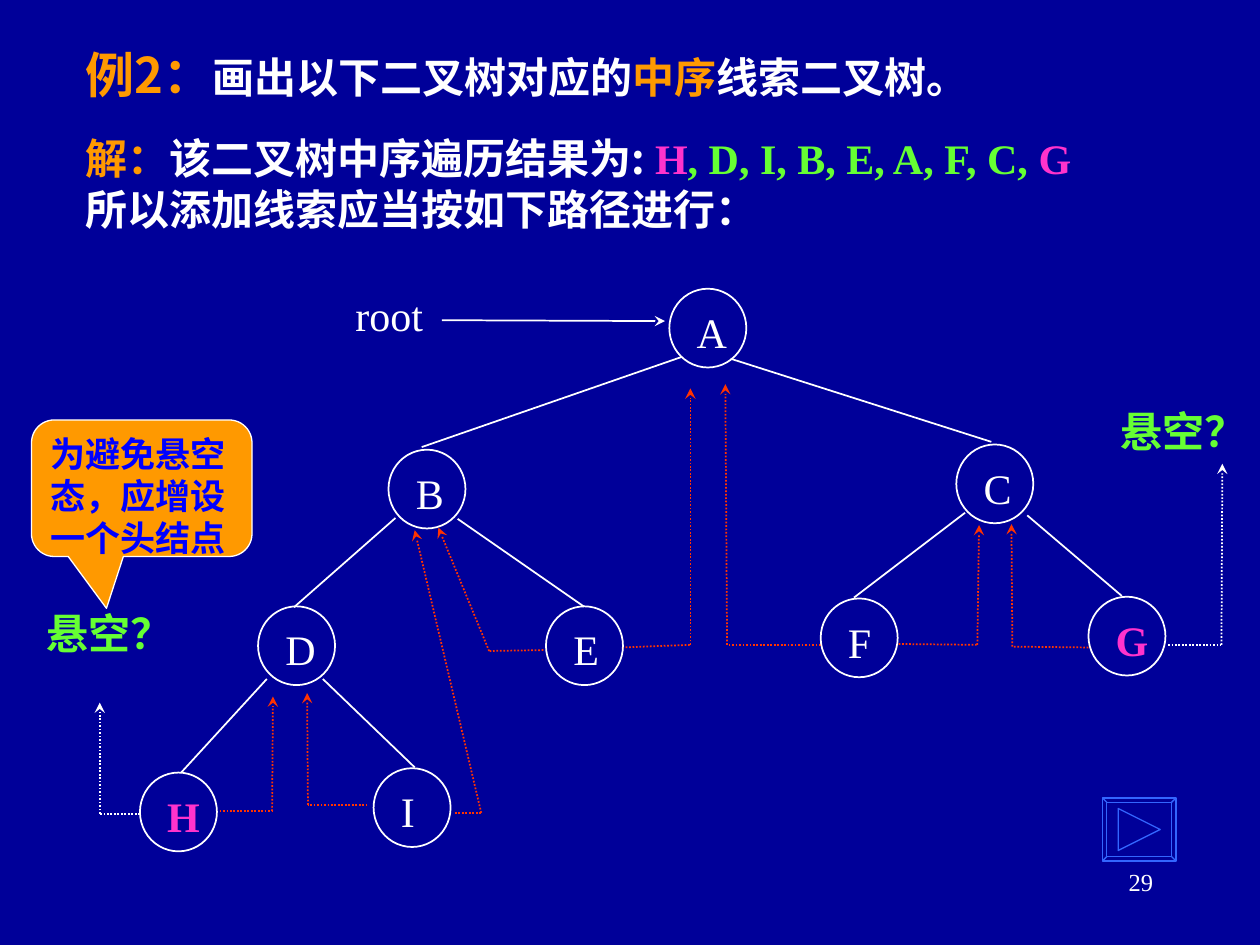
from lxml.etree import SubElement
from pptx import Presentation
from pptx.dml.color import RGBColor
from pptx.enum.dml import MSO_LINE
from pptx.enum.shapes import MSO_CONNECTOR, MSO_SHAPE
from pptx.enum.text import MSO_ANCHOR, PP_ALIGN
from pptx.oxml.ns import qn
from pptx.util import Pt

NAVY = RGBColor(0x00, 0x00, 0x99)
WHITE = RGBColor(0xFF, 0xFF, 0xFF)
ORANGE = RGBColor(0xFF, 0x99, 0x00)
RED = RGBColor(0xFF, 0x33, 0x00)
PINK = RGBColor(0xFF, 0x33, 0xCC)
GREEN = RGBColor(0x66, 0xFF, 0x33)
BLUE = RGBColor(0x00, 0x00, 0xFF)
BUTTON_BLUE = RGBColor(0x33, 0x66, 0xFF)
SERIF = "Times New Roman"
SANS = "Noto Sans CJK SC"

deck = Presentation()
deck.slide_width, deck.slide_height = Pt(720), Pt(540)
page = deck.slides.add_slide(deck.slide_layouts[6])
page.background.fill.solid()
page.background.fill.fore_color.rgb = NAVY


def write(shape, lines, size=24, bold=False, spacing=None):
    frame = shape.text_frame
    frame.word_wrap = True
    for number, spans in enumerate(lines):
        para = frame.add_paragraph() if number else frame.paragraphs[0]
        para.alignment = PP_ALIGN.LEFT
        if spacing:
            para.line_spacing = Pt(spacing)
        para.font.size, para.font.bold = Pt(size), bold
        for text, face, color in spans:
            span = para.add_run()
            span.text = text
            font = para.font if len(spans) == 1 else span.font
            font.size, font.bold = Pt(size), bold
            font.name, font.color.rgb = face, color
            if not text.isascii():
                SubElement(span._r.get_or_add_rPr(), qn("a:ea"), typeface=SANS)
    return frame


def connect(start, end, color=WHITE, dotted=False, arrow=False):
    line = page.shapes.add_connector(MSO_CONNECTOR.STRAIGHT, *map(Pt, start + end))
    line.line.color.rgb, line.line.width = color, Pt(1)
    if dotted:
        line.line.dash_style = MSO_LINE.ROUND_DOT
    if arrow:
        SubElement(line.line._get_or_add_ln(), qn("a:tailEnd"), type="stealth")
    SubElement(line._element.spPr, qn("a:effectLst"))


threads = [
    ((260, 464.5), (275, 464.5), (237, 303), RED),
    ((310.5, 371.5), (279.5, 372), (250.5, 301.5), RED),
    ((210, 460), (176, 460), (175.5, 396), RED),
    ((125.5, 463.5), (155.5, 463.5), (156, 398), RED),
    ((469, 368.5), (415.5, 368.5), (414.5, 219.5), RED),
    ((622, 370), (578.5, 369.5), (578, 299.5), RED),
    ((80, 465), (57, 465), (57, 401.5), WHITE),
    ((355.5, 370), (394.5, 368.5), (394.5, 222), RED),
    ((513.5, 368), (558.5, 368.5), (559.5, 300), RED),
    ((667.5, 368.5), (698, 368.5), (698.5, 265), WHITE),
]
for start, corner, tip, color in threads:
    connect(start, corner, color, dotted=True)
    connect(corner, tip, color, dotted=True, arrow=True)

nodes = {
    "A": (382.5, 165), "B": (222, 257), "C": (546.5, 254),
    "D": (147.5, 346.5), "E": (312, 346.5), "F": (469, 342),
    "G": (622, 341), "H": (80, 441.5), "I": (213.5, 439),
}
for name, (left, top) in nodes.items():
    circle = page.shapes.add_shape(MSO_SHAPE.OVAL, Pt(left), Pt(top), Pt(44), Pt(45))
    circle.shadow.inherit = False
    circle.fill.background()
    circle.line.color.rgb, circle.line.width = WHITE, Pt(1)
    label = page.shapes.add_textbox(Pt(left + 8.5), Pt(top + 6.5), Pt(36), Pt(36))
    is_end = name in "HG"
    write(label, [[(name, SERIF, PINK if is_end else WHITE)]], bold=is_end)

branches = [
    ((389.5, 204), (241, 255.5)), ((417.5, 205), (566.5, 252.5)),
    ((226, 296), (168, 347)), ((261.5, 296.5), (333.5, 346.5)),
    ((551.5, 293), (488, 341.5)), ((587, 294.5), (641, 340.5)),
    ((152.5, 388), (103.5, 441.5)), ((184.5, 388), (237, 438.5)),
]
for parent, child in branches:
    connect(parent, child)

root = page.shapes.add_textbox(Pt(196), Pt(162), Pt(56), Pt(36))
write(root, [[("root", SERIF, WHITE)]])
connect((252.5, 183), (380, 183.5), arrow=True)

for left, top, width in [(19.5, 343.5, 83), (633.5, 228, 86.5)]:
    dangling = page.shapes.add_textbox(Pt(left), Pt(top), Pt(width), Pt(36))
    write(dangling, [[("悬空？", SERIF, GREEN)]], bold=True, spacing=29)

solution = page.shapes.add_textbox(Pt(42), Pt(72), Pt(636), Pt(65))
write(solution, [
    [("解：", SANS, ORANGE), ("该二叉树中序遍历结果为: ", SANS, WHITE),
     ("H", SERIF, PINK), (", D, I, B, E, A, F, C,", SERIF, GREEN), (" G", SERIF, PINK)],
    [("所以添加线索应当按如下路径进行：", SANS, WHITE)],
], bold=True, spacing=29)

title = page.shapes.add_textbox(Pt(42), Pt(18), Pt(612), Pt(48))
frame = write(title, [[
    ("例2：", SANS, ORANGE), ("画出以下二叉树对应的", SANS, WHITE),
    ("中序", SANS, ORANGE), ("线索二叉树。", SANS, WHITE),
]], bold=True)
frame.vertical_anchor = MSO_ANCHOR.MIDDLE
frame.paragraphs[0].runs[0].font.size = Pt(28)

callout = page.shapes.add_shape(
    MSO_SHAPE.ROUNDED_RECTANGULAR_CALLOUT, Pt(18), Pt(240), Pt(126), Pt(78))
callout.shadow.inherit = False
callout.adjustments[0], callout.adjustments[1] = -0.16, 0.88
callout.fill.solid()
callout.fill.fore_color.rgb = ORANGE
callout.line.color.rgb, callout.line.width = WHITE, Pt(0.75)
frame = write(callout, [[("为避免悬空态，应增设一个头结点", SERIF, BLUE)]],
              size=20, bold=True, spacing=24)
frame.vertical_anchor = MSO_ANCHOR.TOP

outer = [(630, 456), (672, 456), (672, 492), (630, 492)]
inner = [(632.5, 458.5), (669.5, 458.5), (669.5, 489.5), (632.5, 489.5)]
triangle = [(639, 462), (663, 474), (639, 486)]
builder = page.shapes.build_freeform(Pt(630), Pt(456))
for outline in (outer, inner, triangle):
    points = [(Pt(x), Pt(y)) for x, y in outline]
    builder.move_to(*points[0])
    builder.add_line_segments(points[1:], close=True)
for (x, y), (inner_x, inner_y) in zip(outer, inner):
    builder.move_to(Pt(x), Pt(y))
    builder.add_line_segments([(Pt(inner_x), Pt(inner_y))], close=False)
button = builder.convert_to_shape()
button.shadow.inherit = False
button.fill.background()
button.line.color.rgb, button.line.width = BUTTON_BLUE, Pt(0.75)

page_number = page.shapes.add_textbox(Pt(516), Pt(492), Pt(150), Pt(36))
frame = write(page_number, [[("29", SERIF, WHITE)]], size=14)
frame.paragraphs[0].alignment = PP_ALIGN.RIGHT

deck.save("out.pptx")
